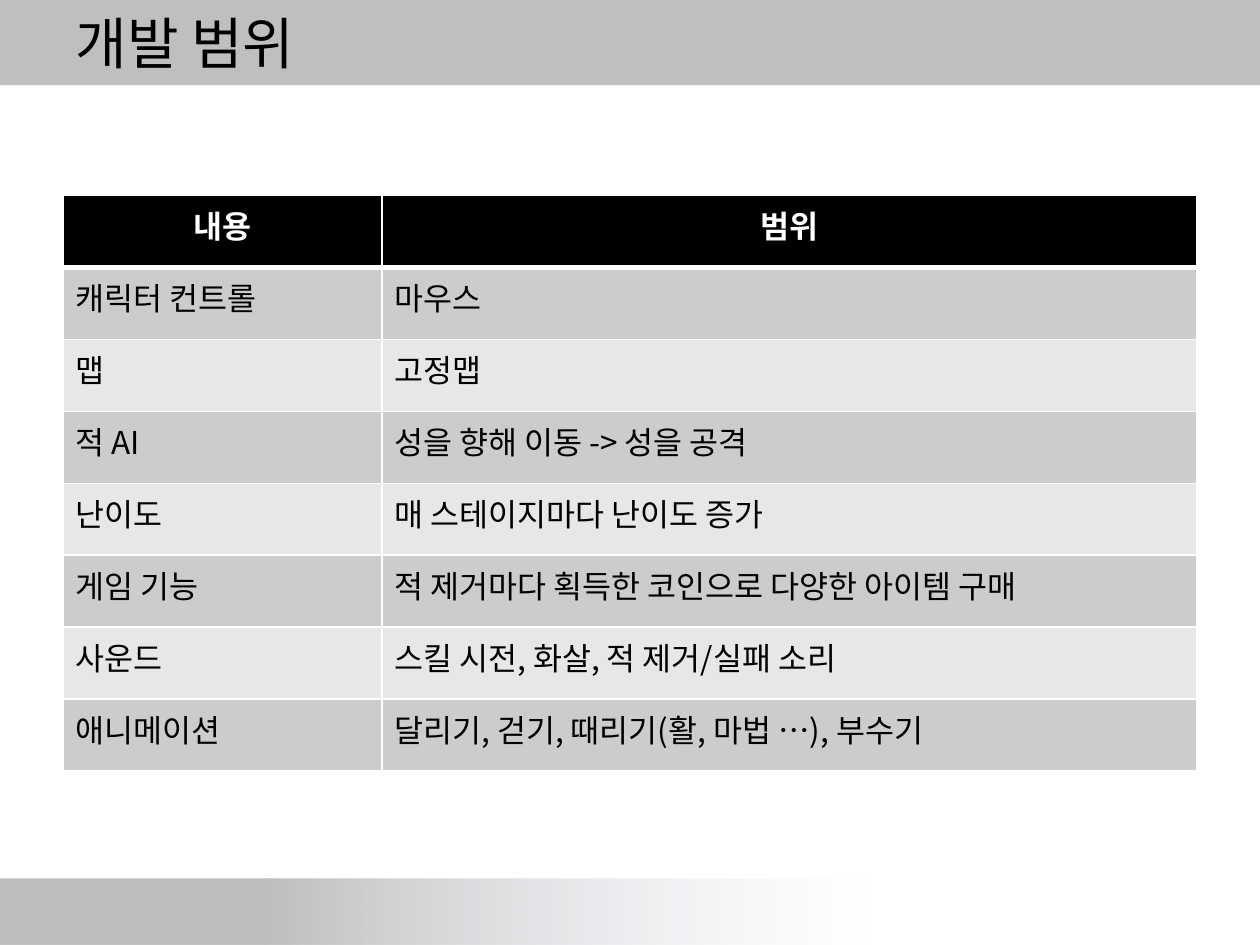
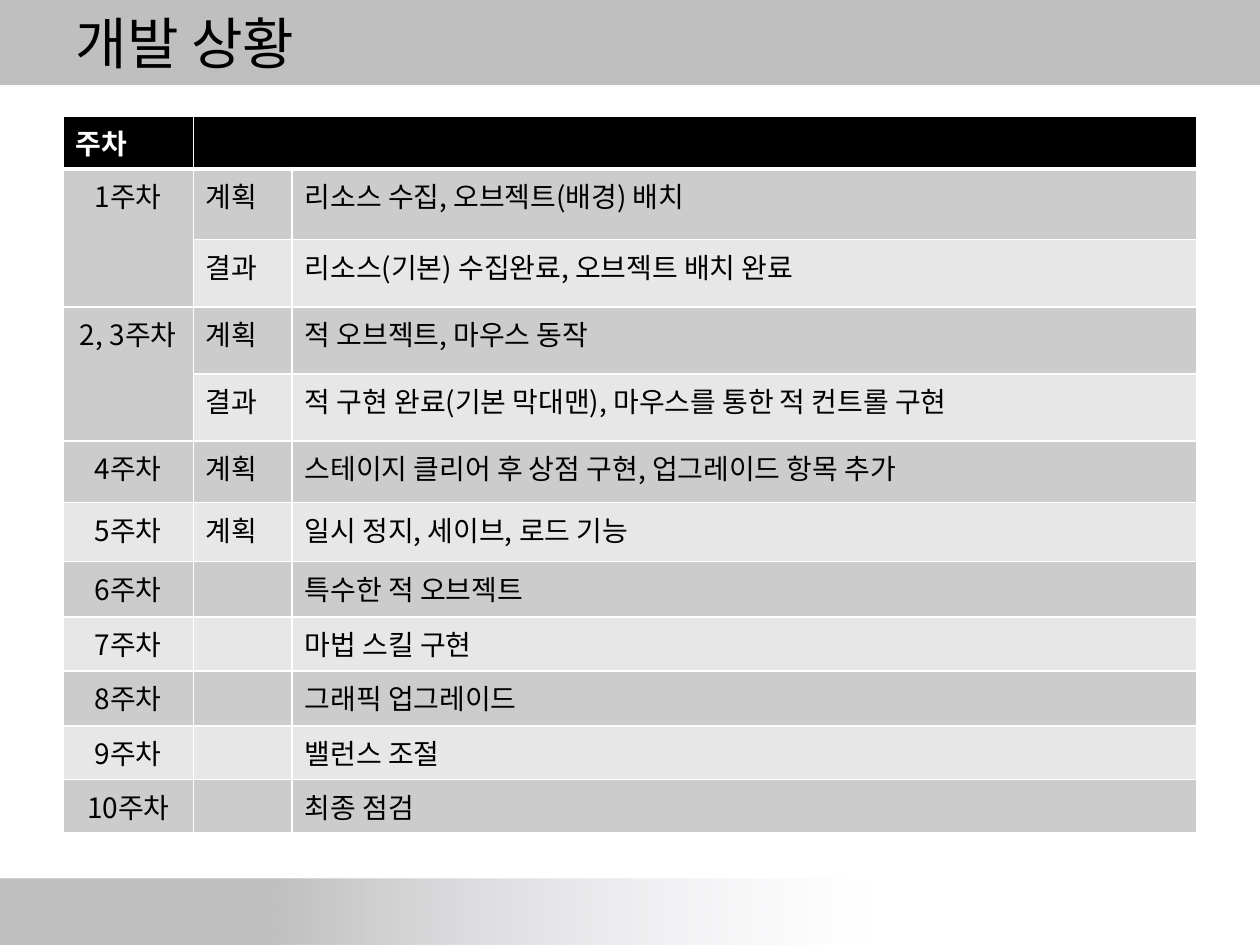
from lxml import etree
from pptx import Presentation
from pptx.dml.color import RGBColor
from pptx.enum.shapes import MSO_SHAPE
from pptx.enum.text import MSO_ANCHOR, PP_ALIGN
from pptx.oxml.ns import qn
from pptx.util import Inches, Pt

RECTANGLE = MSO_SHAPE.RECTANGLE
MIDDLE = MSO_ANCHOR.MIDDLE
LEFT, CENTER = PP_ALIGN.LEFT, PP_ALIGN.CENTER
FONT = "Noto Sans CJK KR"
TITLE_ONLY = 5
COLORS = {
    "band": "BFBFBF",
    "fade": "E6E0EC",
    "header": "000000",
    "odd_row": "CCCCCC",
    "even_row": "E7E7E7",
    "text": "000000",
    "header_text": "FFFFFF",
    "border": "FFFFFF",
}

presentation = Presentation()
presentation.slide_width = Inches(10)
presentation.slide_height = Inches(7.5)
column_unit = presentation.slide_width / 100
row_unit = presentation.slide_height / 100


def write(text_frame, text, size=18, color="text", bold=False, align=LEFT):
    paragraph = text_frame.paragraphs[0]
    paragraph.alignment = align
    run = paragraph.add_run()
    run.text = text
    run.font.name = FONT
    run.font.size = Pt(size)
    run.font.bold = bold
    run.font.color.rgb = RGBColor.from_string(COLORS[color])
    etree.SubElement(run._r.get_or_add_rPr(), qn("a:ea"), typeface=FONT)


def add_border(cell, side, width):
    properties = cell._tc.get_or_add_tcPr()
    line = etree.SubElement(properties, qn("a:ln" + side), w=str(Pt(width)))
    fill = etree.SubElement(line, qn("a:solidFill"))
    etree.SubElement(fill, qn("a:srgbClr"), val=COLORS["border"])


pages = [
    {
        "title": "개발 범위",
        "top": 20.67,
        "size": 18,
        "columns": [25.3, 64.7],
        "rows": [7.62] * 8,
        "merges": [],
        "centered": [(0, 0), (0, 1)],
        "cells": [
            ["내용", "범위"],
            ["캐릭터 컨트롤", "마우스"],
            ["맵", "고정맵"],
            ["적 AI", "성을 향해 이동 -> 성을 공격"],
            ["난이도", "매 스테이지마다 난이도 증가"],
            ["게임 기능", "적 제거마다 획득한 코인으로 다양한 아이템 구매"],
            ["사운드", "스킬 시전, 화살, 적 제거/실패 소리"],
            ["애니메이션", "달리기, 걷기, 때리기(활, 마법 …), 부수기"],
        ],
    },
    {
        "title": "개발 상황",
        "top": 12.27,
        "size": 16,
        "columns": [10.35, 7.85, 71.8],
        "rows": [5.6, 7.5, 7.1, 7.1, 7.1, 6.5, 6.25, 5.9, 5.7, 5.85, 5.65, 5.65],
        "merges": [(0, 1, 0, 2), (1, 0, 2, 0), (3, 0, 4, 0)],
        "centered": [(row, 0) for row in range(1, 12)],
        "cells": [
            ["주차", "", ""],
            ["1주차", "계획", "리소스 수집, 오브젝트(배경) 배치"],
            ["", "결과", "리소스(기본) 수집완료, 오브젝트 배치 완료"],
            ["2, 3주차", "계획", "적 오브젝트, 마우스 동작"],
            ["", "결과", "적 구현 완료(기본 막대맨), 마우스를 통한 적 컨트롤 구현"],
            ["4주차", "계획", "스테이지 클리어 후 상점 구현, 업그레이드 항목 추가"],
            ["5주차", "계획", "일시 정지, 세이브, 로드 기능"],
            ["6주차", "", "특수한 적 오브젝트"],
            ["7주차", "", "마법 스킬 구현"],
            ["8주차", "", "그래픽 업그레이드"],
            ["9주차", "", "밸런스 조절"],
            ["10주차", "", "최종 점검"],
        ],
    },
]

for page in pages:
    slide = presentation.slides.add_slide(presentation.slide_layouts[TITLE_ONLY])
    shapes = slide.shapes

    bands = []
    for top, height in [(0, 9), (93, 7)]:
        band = shapes.add_shape(
            RECTANGLE, 0, int(top * row_unit), presentation.slide_width, int(height * row_unit)
        )
        band.shadow.inherit = False
        band.line.fill.background()
        bands.append(band)
    title_band, footer_band = bands
    title_band.fill.solid()
    title_band.fill.fore_color.rgb = RGBColor.from_string(COLORS["band"])
    shapes._spTree.insert(2, title_band._element)

    footer_band.fill.gradient()
    footer_band.fill.gradient_angle = 0
    stops = footer_band.fill.gradient_stops
    for stop, position, color in zip(stops, (0.21, 0.69), ("band", "fade")):
        stop.position = position
        stop.color.rgb = RGBColor.from_string(COLORS[color])
    last_color = list(footer_band._element.spPr.iter(qn("a:srgbClr")))[-1]
    etree.SubElement(last_color, qn("a:alpha"), val="0")

    title = shapes.title
    title.left, title.top = int(5 * column_unit), 0
    title.width, title.height = int(90 * column_unit), int(9 * row_unit)
    title.text_frame.vertical_anchor = MIDDLE
    write(title.text_frame, page["title"], size=32)

    table = shapes.add_table(
        len(page["rows"]),
        len(page["columns"]),
        int(5 * column_unit),
        int(page["top"] * row_unit),
        int(90 * column_unit),
        int(sum(page["rows"]) * row_unit),
    ).table
    for column, width in zip(table.columns, page["columns"]):
        column.width = int(width * column_unit)
    for row, height in zip(table.rows, page["rows"]):
        row.height = int(height * row_unit)
    for first_row, first_column, last_row, last_column in page["merges"]:
        table.cell(first_row, first_column).merge(table.cell(last_row, last_column))

    for row_index, texts in enumerate(page["cells"]):
        is_header = row_index == 0
        row_color = "header" if is_header else "odd_row" if row_index % 2 else "even_row"
        for column_index, text in enumerate(texts):
            cell = table.cell(row_index, column_index)
            for side in "LRTB":
                under_header = (row_index, side) in [(0, "B"), (1, "T")]
                add_border(cell, side, 3 if under_header else 1)
            cell.fill.solid()
            cell.fill.fore_color.rgb = RGBColor.from_string(COLORS[row_color])
            if text:
                write(
                    cell.text_frame,
                    text,
                    size=page["size"],
                    color="header_text" if is_header else "text",
                    bold=is_header,
                    align=CENTER if (row_index, column_index) in page["centered"] else LEFT,
                )

presentation.save("out.pptx")
